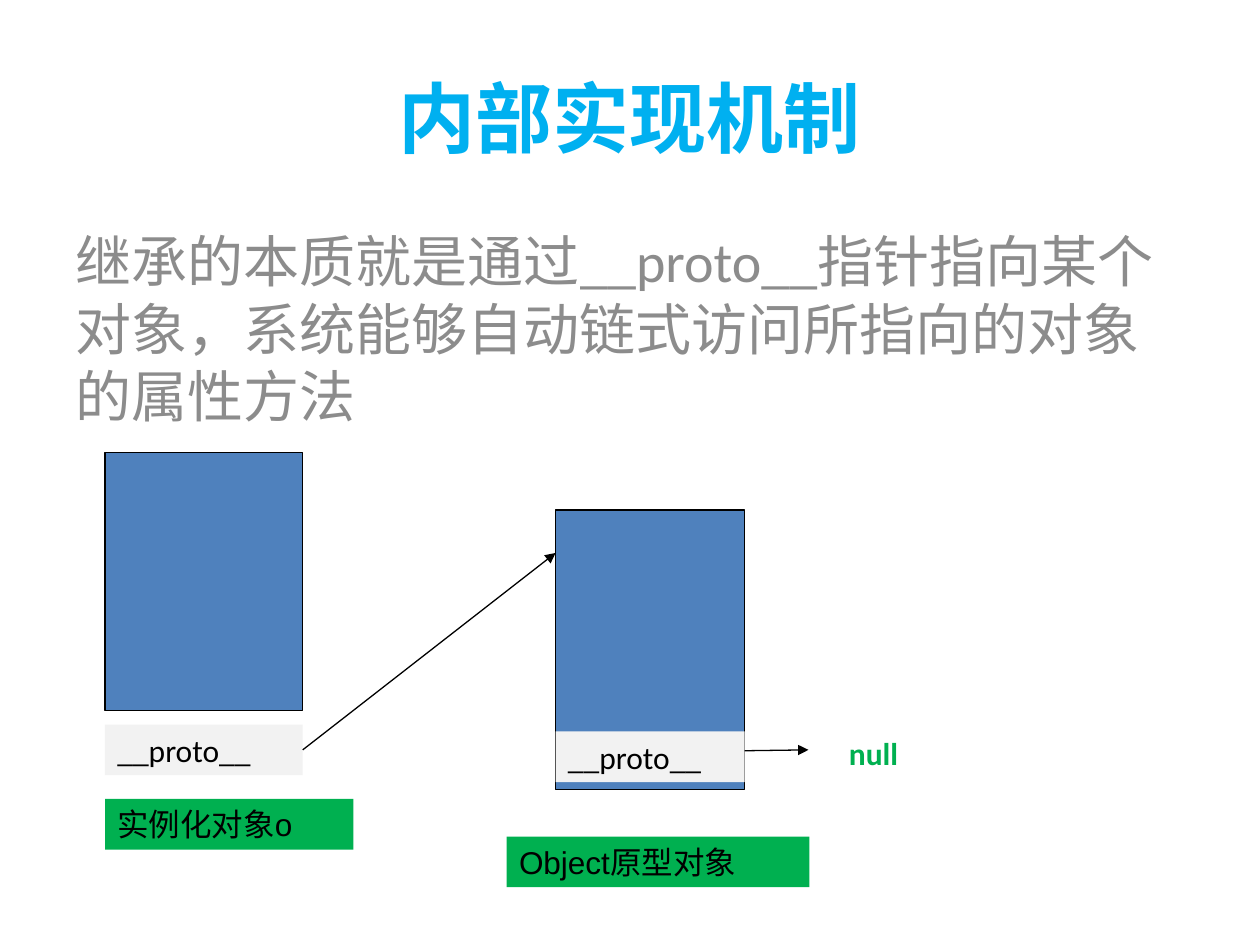
from dataclasses import dataclass

from lxml.etree import SubElement
from pptx import Presentation
from pptx.dml.color import RGBColor
from pptx.enum.shapes import MSO_CONNECTOR as Connector, MSO_SHAPE as Preset
from pptx.enum.text import MSO_ANCHOR as Anchor, PP_ALIGN as Align
from pptx.oxml.ns import qn
from pptx.util import Pt


@dataclass(frozen=True)
class Theme:
    """Colours, fonts and type sizes of the slide."""
    title: str = "00B0F0"
    body: str = "8C8C8C"
    block: str = "4F81BD"
    caption: str = "00B050"
    pointer: str = "F2F2F2"
    ink: str = "000000"
    main_font: str = "Calibri"
    caption_font: str = "Arial"
    title_size: float = 44
    body_size: float = 32
    label_size: float = 18
    line_width: float = 0.75


THEME = Theme()


def place(shape, box):
    """Move a shape to a (left, top, width, height) box in points."""
    shape.left, shape.top, shape.width, shape.height = map(Pt, box)


def write(shape, text, size, color, font=THEME.main_font, bold=False, align=Align.LEFT):
    """Set one paragraph of text and format its run."""
    shape.text_frame.word_wrap = True
    shape.text_frame.text = text
    paragraph = shape.text_frame.paragraphs[0]
    paragraph.alignment = align
    style = paragraph.runs[0].font
    style.name, style.size, style.bold = font, Pt(size), bold
    style.color.rgb = RGBColor.from_string(color)


def add_rectangle(slide, box, fill, outlined=False):
    """Add a flat rectangle, with a thin outline on request."""
    shape = slide.shapes.add_shape(Preset.RECTANGLE, *map(Pt, box))
    shape.shadow.inherit = False
    shape.fill.solid()
    shape.fill.fore_color.rgb = RGBColor.from_string(fill)
    if outlined:
        shape.line.color.rgb = RGBColor.from_string(THEME.ink)
        shape.line.width = Pt(THEME.line_width)
    else:
        shape.line.fill.background()
    return shape


def add_label(slide, box, text, fill, font=THEME.main_font):
    """Add a filled label with left-aligned text."""
    shape = add_rectangle(slide, box, fill)
    write(shape, text, THEME.label_size, THEME.ink, font)
    shape.text_frame.vertical_anchor = Anchor.TOP
    return shape


def add_arrow(slide, start, end):
    """Add a thin straight arrow between two points."""
    arrow = slide.shapes.add_connector(Connector.STRAIGHT, *map(Pt, start + end))
    arrow.line.color.rgb = RGBColor.from_string(THEME.ink)
    arrow.line.width = Pt(THEME.line_width)
    SubElement(arrow.line._get_or_add_ln(), qn("a:tailEnd"), type="triangle")
    SubElement(arrow._element.spPr, qn("a:effectLst"))
    return arrow


def add_heading(slide, title_box, body_box):
    """Fill the title and subtitle placeholders."""
    title, body = slide.shapes.title, slide.placeholders[1]
    place(title, title_box)
    place(body, body_box)
    write(title, "内部实现机制", THEME.title_size, THEME.title, bold=True, align=Align.CENTER)
    write(body, "继承的本质就是通过__proto__指针指向某个对象，系统能够自动链式访问所指向的对象的属性方法",
          THEME.body_size, THEME.body)


def add_object(slide, box, pointer_top, caption, caption_box):
    """Draw an object block with its pointer and caption; return the pointer."""
    left, _, width, _ = box
    add_rectangle(slide, box, THEME.block, outlined=True)
    add_label(slide, caption_box, caption, THEME.caption, THEME.caption_font)
    return add_label(slide, (left, pointer_top, width, 29), "__proto__", THEME.pointer)


def add_chain(slide, left, top):
    """Draw the prototype chain from the instance to null."""
    instance = add_object(slide, (left, top, 113, 147.5), top + 155.5,
                          "实例化对象o", (left, top + 198, 142, 29))
    add_object(slide, (left + 257.5, top + 33, 108, 159.5), top + 159.5,
               "Object原型对象", (left + 229.5, top + 219.5, 173, 29))
    null = slide.shapes.add_textbox(*map(Pt, (left + 418, top + 157.5, 57, 29)))
    write(null, "null", THEME.label_size, THEME.caption, bold=True)
    link = add_arrow(slide, (left + 113, top + 170), (left + 257.5, top + 57.5))
    link.begin_connect(instance, 3)
    add_arrow(slide, (left + 365.5, top + 170.5), (left + 402, top + 170))


def main():
    """Build and save the presentation."""
    presentation = Presentation()
    presentation.slide_width, presentation.slide_height = Pt(720), Pt(540)
    slide = presentation.slides.add_slide(presentation.slide_layouts[0])
    add_heading(slide, (36, 21.6, 648, 90), (36, 126, 648, 356.4))
    add_chain(slide, 60, 258.5)
    presentation.save("out.pptx")


if __name__ == "__main__":
    main()
